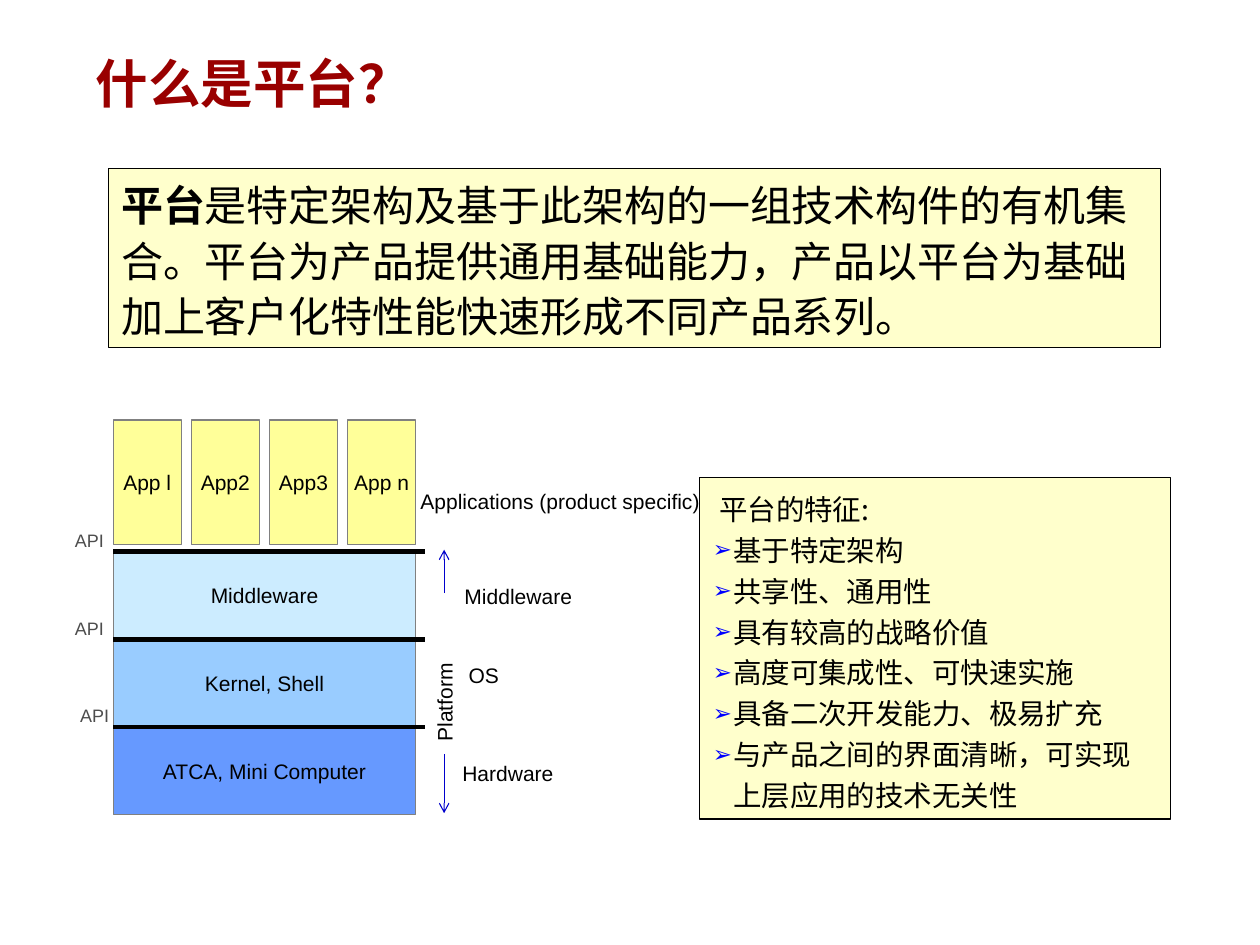
from dataclasses import dataclass

from pptx import Presentation
from pptx import util as u
from pptx.dml.color import RGBColor
from pptx.enum import shapes, text
from pptx.oxml import ns, xmlchemy


@dataclass(frozen=True)
class Theme:
    latin: str = "Arial"
    chinese: str = "Noto Sans CJK SC"
    black: str = "000000"
    title: str = "990000"
    panel: str = "FFFFCC"
    app: str = "FFFF99"
    middleware: str = "CCECFF"
    system: str = "99CCFF"
    hardware: str = "6699FF"
    border: str = "808080"
    api: str = "4D4D4D"
    arrow: str = "0000CC"
    bullet: str = "0000FF"
    title_size: int = 35
    definition_size: int = 28
    list_size: int = 19
    label_size: int = 14
    api_size: int = 12


class SlideBuilder:
    """Places elements on a grid of 120 columns by 90 rows."""

    columns, rows = 120, 90

    def __init__(self, presentation, theme):
        self.theme = theme
        self.column = presentation.slide_width / self.columns
        self.row = presentation.slide_height / self.rows
        self.slide = presentation.slides.add_slide(presentation.slide_layouts[1])

    def box(self, left, top, width, height):
        return (round(left * self.column), round(top * self.row),
                round(width * self.column), round(height * self.row))

    def add_xml(self, parent, tag, **attributes):
        element = xmlchemy.OxmlElement(tag)
        for name, value in attributes.items():
            element.set(name, value)
        parent.append(element)
        return element

    def style_frame(self, shape, anchor, wrap):
        frame = shape.text_frame
        frame.auto_size = text.MSO_AUTO_SIZE.NONE
        frame.word_wrap = wrap
        frame.vertical_anchor = anchor
        frame.margin_left = frame.margin_right = u.Inches(0.12)
        frame.margin_top = frame.margin_bottom = u.Inches(0.06)
        return frame

    def style_paragraph(self, paragraph, size, color, name, bold=False,
                        align=text.PP_ALIGN.LEFT):
        paragraph.alignment = align
        paragraph.space_before = u.Pt(0)
        font = paragraph.font
        font.size, font.name, font.bold = u.Pt(size), name, bold
        font.color.rgb = RGBColor.from_string(color)
        properties = paragraph._p.pPr.find(ns.qn("a:defRPr"))
        self.add_xml(properties, "a:ea", typeface=name)

    def paint(self, shape, fill, line):
        shape.fill.solid()
        shape.fill.fore_color.rgb = RGBColor.from_string(fill)
        shape.line.color.rgb = RGBColor.from_string(line)
        shape.line.width = u.Pt(0.75)

    def place(self, shape, *cells):
        shape.left, shape.top, shape.width, shape.height = self.box(*cells)

    def title(self, words, *cells):
        shape = self.slide.shapes.title
        self.place(shape, *cells)
        frame = shape.text_frame
        frame.auto_size = text.MSO_AUTO_SIZE.NONE
        frame.vertical_anchor = text.MSO_ANCHOR.MIDDLE
        frame.text = words
        theme = self.theme
        self.style_paragraph(frame.paragraphs[0], theme.title_size, theme.title,
                             theme.chinese, bold=True)

    def block(self, words, fill, *cells, line=None):
        shape = self.slide.shapes.add_shape(shapes.MSO_SHAPE.RECTANGLE, *self.box(*cells))
        shape.shadow.inherit = False
        self.paint(shape, fill, line or self.theme.border)
        frame = self.style_frame(shape, text.MSO_ANCHOR.MIDDLE, False)
        frame.text = words
        self.style_paragraph(frame.paragraphs[0], self.theme.label_size, self.theme.black,
                             self.theme.latin, align=text.PP_ALIGN.CENTER)
        return shape

    def definition(self, term, meaning, *cells):
        theme = self.theme
        shape = self.block("", theme.panel, *cells, line=theme.black)
        frame = self.style_frame(shape, text.MSO_ANCHOR.BOTTOM, True)
        frame.clear()
        paragraph = frame.paragraphs[0]
        paragraph.add_run().text = term
        paragraph.add_run().text = meaning
        self.style_paragraph(paragraph, theme.definition_size, theme.black, theme.chinese)
        paragraph.line_spacing = u.Pt(37)
        paragraph.runs[0].font.bold = True

    def label(self, words, *cells, size=None, color=None, rotation=0):
        shape = self.slide.shapes.add_textbox(*self.box(*cells))
        shape.rotation = rotation
        frame = self.style_frame(shape, text.MSO_ANCHOR.TOP, False)
        frame.text = words
        self.style_paragraph(frame.paragraphs[0], size or self.theme.label_size,
                             color or self.theme.black, self.theme.latin)

    def line(self, left, top, right, bottom, color, width, arrow=False):
        x1, y1, x2, y2 = self.box(left, top, right, bottom)
        connector = self.slide.shapes.add_connector(
            shapes.MSO_CONNECTOR.STRAIGHT, x1, y1, x2, y2)
        connector.line.color.rgb = RGBColor.from_string(color)
        connector.line.width = u.Pt(width)
        if arrow:
            self.add_xml(connector.line._get_or_add_ln(), "a:tailEnd", type="arrow")
        self.add_xml(connector._element.spPr, "a:effectLst")

    def bullet_list(self, heading, items, *cells):
        theme = self.theme
        shape = self.slide.placeholders[1]
        self.place(shape, *cells)
        self.paint(shape, theme.panel, theme.black)
        frame = self.style_frame(shape, text.MSO_ANCHOR.BOTTOM, True)
        frame.text = "\n".join([heading, *items])
        for index, paragraph in enumerate(frame.paragraphs):
            paragraph.line_spacing = u.Pt(27.3)
            properties = paragraph._p.get_or_add_pPr()
            hanging = u.Inches(0.19) if index else 0
            properties.set("marL", str(hanging or u.Inches(0.06)))
            properties.set("indent", str(-hanging))
            if index:
                color = self.add_xml(properties, "a:buClr")
                self.add_xml(color, "a:srgbClr", val=theme.bullet)
                self.add_xml(properties, "a:buSzPct", val="80000")
                self.add_xml(properties, "a:buChar", char="➢")
            else:
                self.add_xml(properties, "a:buNone")
            self.style_paragraph(paragraph, theme.list_size, theme.black, theme.chinese)


def main():
    presentation = Presentation()
    presentation.slide_width, presentation.slide_height = u.Inches(11.67), u.Inches(8.75)
    theme = Theme()
    builder = SlideBuilder(presentation, theme)

    # Title and definition
    builder.title("什么是平台？", 8.1, 0, 105.8, 15.8)
    builder.definition(
        "平台",
        "是特定架构及基于此架构的一组技术构件的有机集合。平台为产品提供通用基础能力，"
        "产品以平台为基础加上客户化特性能快速形成不同产品系列。",
        10.3, 16.05, 100.2, 17.05)

    # Applications
    stack_left, app_pitch = 10.8, 7.44
    for index, name in enumerate(["App l", "App2", "App3", "App n"]):
        builder.block(name, theme.app, stack_left + index * app_pitch, 40, 6.45, 11.85)
    builder.label("Applications (product specific)", 38.8, 45.9, 29, 3.6)

    # Platform layers, each with its label and the API above it
    stack_top, layer_pitch = 52.55, 8.35
    layers = [
        ("Middleware", theme.middleware, "Middleware", 43, 55, 12.65, 5.9),
        ("Kernel, Shell", theme.system, "OS", 43.4, 62.5, 5.35, 5.9),
        ("ATCA, Mini Computer", theme.hardware, "Hardware", 42.8, 71.8, 11.1, 6.4),
    ]
    for index, (name, fill, role, left, top, width, api_left) in enumerate(layers):
        layer_top = stack_top + index * layer_pitch
        builder.block(name, fill, stack_left, layer_top, 28.8, layer_pitch)
        builder.line(stack_left, layer_top, 40.5, layer_top, theme.black, 3)
        builder.label(role, left, top, width, 3.6)
        builder.label("API", api_left, layer_top - 2.75, 5.15, 3.3,
                      size=theme.api_size, color=theme.api)

    # Platform extent
    builder.label("Platform", 37.35, 65.1, 9.9, 3.6, rotation=270)
    for start, end in [(56.5, 52.35), (71.8, 77.45)]:
        builder.line(42.3, start, 42.3, end, theme.arrow, 0.75, arrow=True)

    # Platform features
    builder.bullet_list(
        "平台的特征:",
        ["基于特定架构", "共享性、通用性", "具有较高的战略价值", "高度可集成性、可快速实施",
         "具备二次开发能力、极易扩充", "与产品之间的界面清晰，可实现上层应用的技术无关性"],
        66.65, 45.5, 44.85, 32.5)

    presentation.save("out.pptx")


if __name__ == "__main__":
    main()
